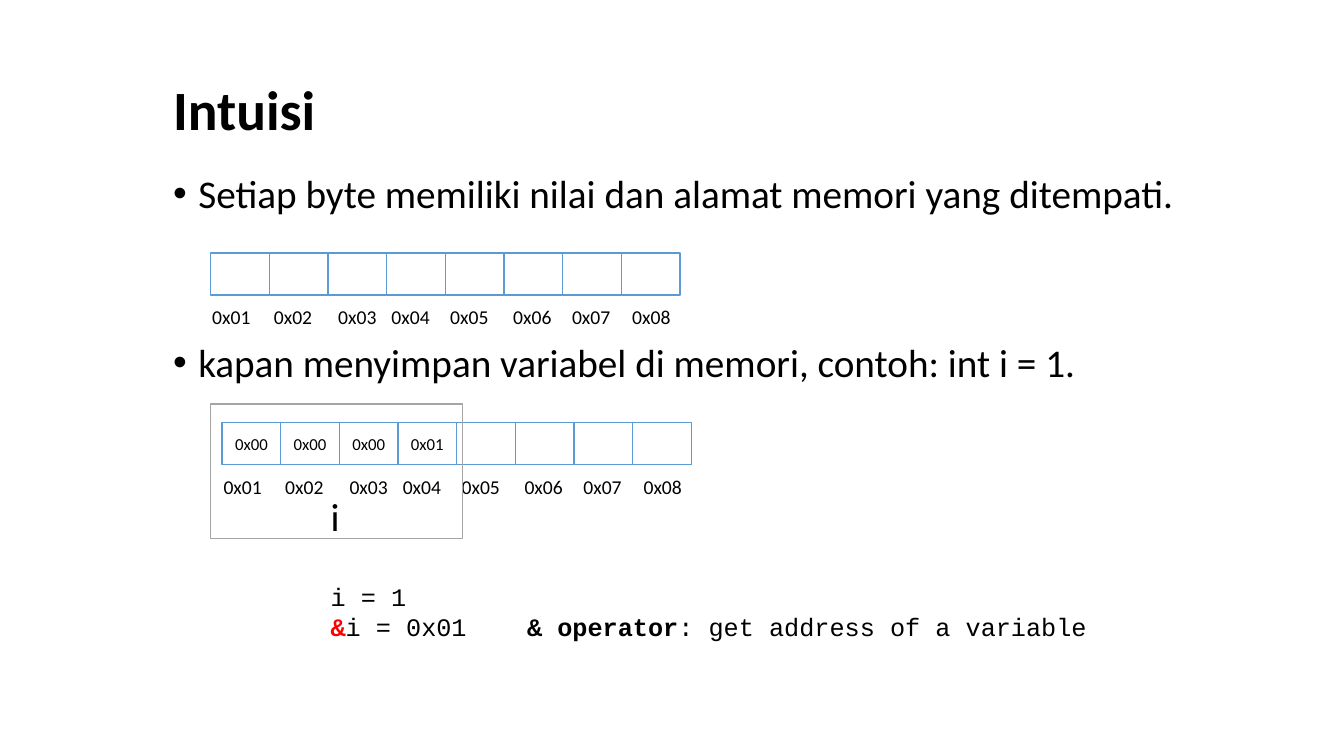
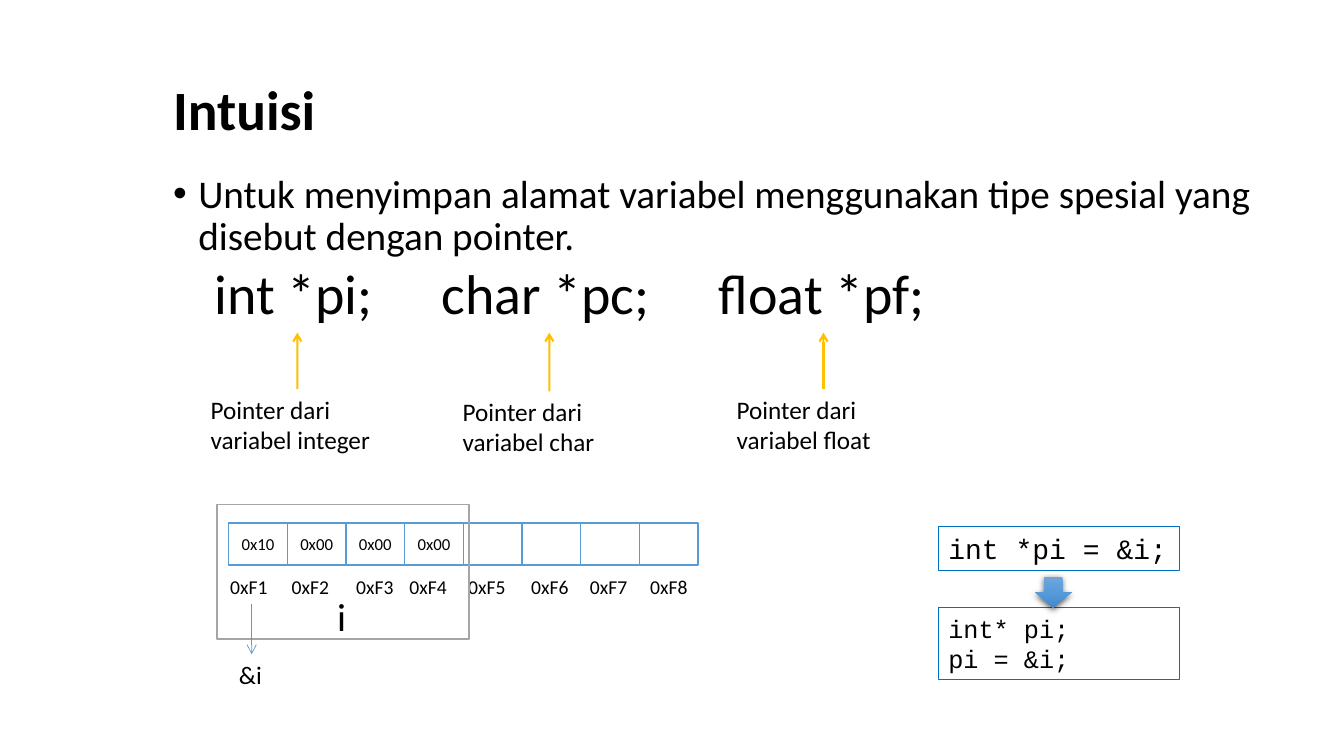
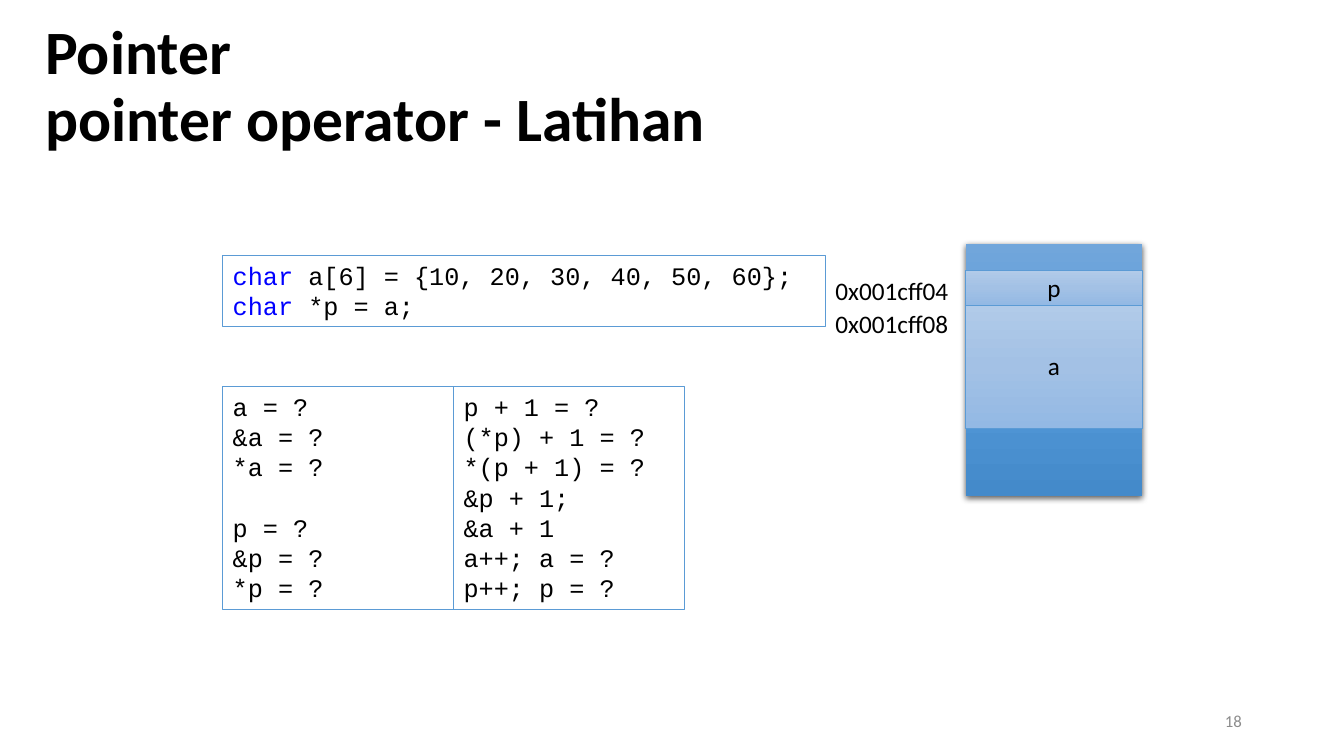
import copy

import pptx
import pptx.dml.color
import pptx.enum.shapes
import pptx.enum.text
import pptx.oxml
import pptx.oxml.ns
import pptx.util
from lxml import etree

Pt = pptx.util.Pt
qn = pptx.oxml.ns.qn
SHAPE = pptx.enum.shapes.MSO_SHAPE
ALIGN = pptx.enum.text.PP_ALIGN
ANCHOR = pptx.enum.text.MSO_ANCHOR

COLORS = {
    "text": "000000", "white": "FFFFFF", "blue": "5B9BD5", "code": "0070C0",
    "frame": "A5A5A5", "arrow": "FFC000", "red": "FF0000",
    "keyword": "0000FF", "number": "8C8C8C",
}
GRADIENTS = {
    "strong": ("71A6DB", "559BDB", "448ACA"),
    "light": ("B1CBE9", "A3C1E5", "93B9E4"),
}
BODY = "Calibri"
MONO = "Courier New"
CELL_W, CELL_H, CELL_PITCH = 42, 30.2, 41.9
LABEL_OFFSETS = (-6, 38, 84, 122, 164, 209, 251, 294)


def rgb(name):
    return pptx.dml.color.RGBColor.from_string(COLORS.get(name, name))


class Deck:
    def __init__(self):
        self.prs = pptx.Presentation()
        self.prs.slide_width, self.prs.slide_height = Pt(960), Pt(540)
        self.s = None

    def slide(self):
        self.s = self.prs.slides.add_slide(self.prs.slide_layouts[6])

    def set_text(self, sp, paragraphs, size, font=BODY, bold=False, color="text",
                 align=ALIGN.LEFT, anchor=ANCHOR.TOP, wrap=True):
        tf = sp.text_frame
        tf.word_wrap = wrap
        tf.vertical_anchor = anchor
        for i, parts in enumerate(paragraphs):
            p = tf.paragraphs[0] if i == 0 else tf.add_paragraph()
            p.alignment = align
            if isinstance(parts, str):
                p.text = parts
                styles = [(color, bold)] * len(p.runs)
            else:
                for part in parts:
                    p.add_run().text = part[0]
                styles = [part[1:] for part in parts]
            for r, (run_color, run_bold) in zip(p.runs, styles):
                r.font.name = font
                r.font.size = Pt(size)
                r.font.bold = run_bold
                r.font.color.rgb = rgb(run_color)
        return tf.paragraphs

    def text(self, x, y, w, h, paragraphs, size, **style):
        sp = self.s.shapes.add_textbox(Pt(x), Pt(y), Pt(w), Pt(h))
        self.set_text(sp, paragraphs, size, **style)
        return sp

    def title(self, x, y, w, h, text, size):
        sp = self.text(x, y, w, h, [text], size, bold=True, anchor=ANCHOR.MIDDLE)
        sp.text_frame.paragraphs[0].line_spacing = 0.9

    def bullets(self, items, gap=10):
        sp = self.text(116.6, 121, 789, 334.8, items, 28)
        for i, p in enumerate(sp.text_frame.paragraphs):
            p.line_spacing = 0.9
            p.space_before = Pt(gap if i else 10)
            pPr = p._p.get_or_add_pPr()
            pPr.set("marL", str(Pt(18)))
            pPr.set("indent", str(Pt(-18)))
            etree.SubElement(pPr, qn("a:buFont")).set("typeface", "Arial")
            etree.SubElement(pPr, qn("a:buChar")).set("char", "•")

    def shape(self, x, y, w, h, fill=None, line=None, width=1, kind=SHAPE.RECTANGLE):
        sp = self.s.shapes.add_shape(kind, Pt(x), Pt(y), Pt(w), Pt(h))
        sp.shadow.inherit = False
        if fill in GRADIENTS:
            self.gradient(sp, GRADIENTS[fill])
        elif fill:
            sp.fill.solid()
            sp.fill.fore_color.rgb = rgb(fill)
        else:
            sp.fill.background()
        if line:
            sp.line.color.rgb = rgb(line)
            sp.line.width = Pt(width)
        else:
            sp.line.fill.background()
        return sp

    def gradient(self, sp, colors):
        sp.fill.gradient()
        sp.fill.gradient_angle = 270
        gsLst = sp._element.spPr.find(".//" + qn("a:gsLst"))
        gsLst.insert(1, copy.deepcopy(gsLst[0]))
        for stop, color, position in zip(sp.fill.gradient_stops, colors, (0, 0.5, 1)):
            stop.color.rgb = rgb(color)
            stop.position = position

    def raised(self, x, y, w, h, kind=SHAPE.RECTANGLE):
        sp = self.shape(x, y, w, h, "strong", kind=kind)
        effects = sp._element.spPr.find(qn("a:effectLst"))
        shadow = etree.SubElement(effects, qn("a:outerShdw"), blurRad=str(Pt(4.5)),
                                  dist=str(Pt(1.5)), dir="5400000", rotWithShape="0")
        color = etree.SubElement(shadow, qn("a:srgbClr"), val=COLORS["text"])
        etree.SubElement(color, qn("a:alpha"), val="63000")

    def block(self, x, y, w, h, text):
        sp = self.shape(x, y, w, h, "light", "blue", 0.5)
        self.set_text(sp, [text], 18, align=ALIGN.CENTER, anchor=ANCHOR.MIDDLE)

    def code(self, x, y, w, h, lines, line="blue", size=18, wrap=True):
        sp = self.shape(x, y, w, h, None, line, 0.75)
        return self.set_text(sp, lines, size, font=MONO, wrap=wrap)

    def arrow(self, x, y1, y2, color, width, start=None, end=None):
        c = self.s.shapes.add_connector(pptx.enum.shapes.MSO_CONNECTOR.STRAIGHT,
                                        Pt(x), Pt(y1), Pt(x), Pt(y2))
        if start is not None:
            c.begin_connect(start, 0)
        if end is not None:
            c.end_connect(end, 0)
        c.line.color.rgb = rgb(color)
        c.line.width = Pt(width)
        spPr = c._element.spPr
        etree.SubElement(spPr.find(qn("a:ln")), qn("a:tailEnd"), type="arrow")
        etree.SubElement(spPr, qn("a:effectLst"))

    def memory(self, x, y, prefix, values=()):
        for i, offset in enumerate(LABEL_OFFSETS):
            sp = self.shape(x + i * CELL_PITCH, y, CELL_W, CELL_H, "white", "blue")
            if i < len(values):
                self.set_text(sp, [values[i]], 12, align=ALIGN.CENTER,
                              anchor=ANCHOR.MIDDLE, wrap=False)
            self.text(x + offset, y + 33.6, 44.6, 24.5, [f"{prefix}{i + 1}"], 14,
                      wrap=False)

    def variable(self, x, y, prefix, values):
        self.memory(x, y, prefix, values)
        self.shape(x - 8.2, y - 13.2, 180, 96, None, "frame")
        self.text(x + 70.5, y + 46, 22.3, 41, ["i"], 28, wrap=False)


def memory_slide(deck):
    deck.slide()
    deck.title(116.6, 54, 789, 53.3, "Intuisi", 39.6)
    deck.bullets(["Setiap byte memiliki nilai dan alamat memori yang ditempati.",
                  "kapan menyimpan variabel di memori, contoh: int i = 1."], gap=90.5)
    deck.memory(150.5, 180.6, "0x0")
    deck.variable(158.6, 301.8, "0x0", ("0x00", "0x00", "0x00", "0x01"))
    sp = deck.text(229, 411.8, 654.5, 51, [
        "i = 1",
        [("&", "red", True), ("i = 0x01\t", "text", False),
         ("& operator", "text", True),
         (": get address of a variable", "text", False)],
    ], 18, font=MONO)
    pPr = sp.text_frame.paragraphs[1]._p.get_or_add_pPr()
    tabs = etree.SubElement(pPr, qn("a:tabLst"))
    etree.SubElement(tabs, qn("a:tab"), pos=str(Pt(140.4)), algn="l")


def pointer_slide(deck):
    deck.slide()
    deck.title(116.6, 54, 789, 53.3, "Intuisi", 39.6)
    deck.bullets(["Untuk menyimpan alamat variabel menggunakan tipe spesial yang "
                  "disebut dengan pointer."])
    for kind, name, x, w, caption_x, caption_y in (
            ("int", "integer", 146.2, 132.5, 143.3, 278),
            ("char", "char", 308.2, 167.8, 323.3, 279.6),
            ("float", "float", 506.2, 164.2, 519.1, 278)):
        deck.text(x, 181.4, w, 55.4, [f"{kind} *p{kind[0]};"], 40, wrap=False)
        caption = deck.text(caption_x, caption_y, 138.2, 51,
                            [f"Pointer dari variabel {name}"], 18)
        deck.arrow(caption_x + 69.1, caption_y, 237.6, "arrow", 1.5, start=caption)
    deck.variable(163.3, 373.5, "0xF", ("0x10", "0x00", "0x00", "0x00"))
    address = deck.text(163.6, 467.3, 32.4, 29, ["&i"], 18, wrap=False)
    deck.arrow(179.8, 431.3, 467.3, "blue", 0.5, end=address)
    deck.code(670.3, 375.8, 172.1, 31.7, ["int *pi = &i;"], "code", 20, wrap=False)
    deck.code(670.3, 434.2, 172.1, 51, ["int* pi;", "pi = &i;"], "code")
    deck.raised(739.4, 411.8, 26, 22.3, SHAPE.DOWN_ARROW)


def exercise_slide(deck):
    deck.slide()
    deck.title(25.2, 10.8, 790.6, 104.4, "Pointer\vpointer operator - Latihan", 44)
    deck.text(678.2, 500.4, 216, 28.8, ["18"], 12, color="number",
              align=ALIGN.RIGHT, anchor=ANCHOR.MIDDLE)
    keyword = ("char", "keyword", False)
    deck.code(159.1, 182.2, 430.6, 51, [
        [keyword, (" a[6] = {10, 20, 30, 40, 50, 60};", "text", False)],
        [keyword, (" *p = a;", "text", False)],
    ])
    deck.raised(689.8, 174.2, 126, 180)
    for text, address, y, h in (("a", "0x001cff08", 216.7, 89.3),
                                ("p", "0x001cff04", 193, 25.2)):
        deck.block(689.8, y, 126, h, text)
        deck.text(589.7, y, 97.2, 28.8, [address], 18, wrap=False)
    questions = deck.code(159.1, 275.8, 164.9, 159.8,
                          ["a = ?", "&a = ?", "*a = ?", "p = ?", "&p = ?", "*p = ?"])
    questions[3].space_before = Pt(21.6)
    deck.code(324, 275.8, 164.9, 159.8,
              ["p + 1 = ?", "(*p) + 1 = ?", "*(p + 1) = ?", "&p + 1;", "&a + 1",
               "a++; a = ?", "p++; p = ?"])


def main():
    deck = Deck()
    memory_slide(deck)
    pointer_slide(deck)
    exercise_slide(deck)
    deck.prs.save("out.pptx")


if __name__ == "__main__":
    main()
